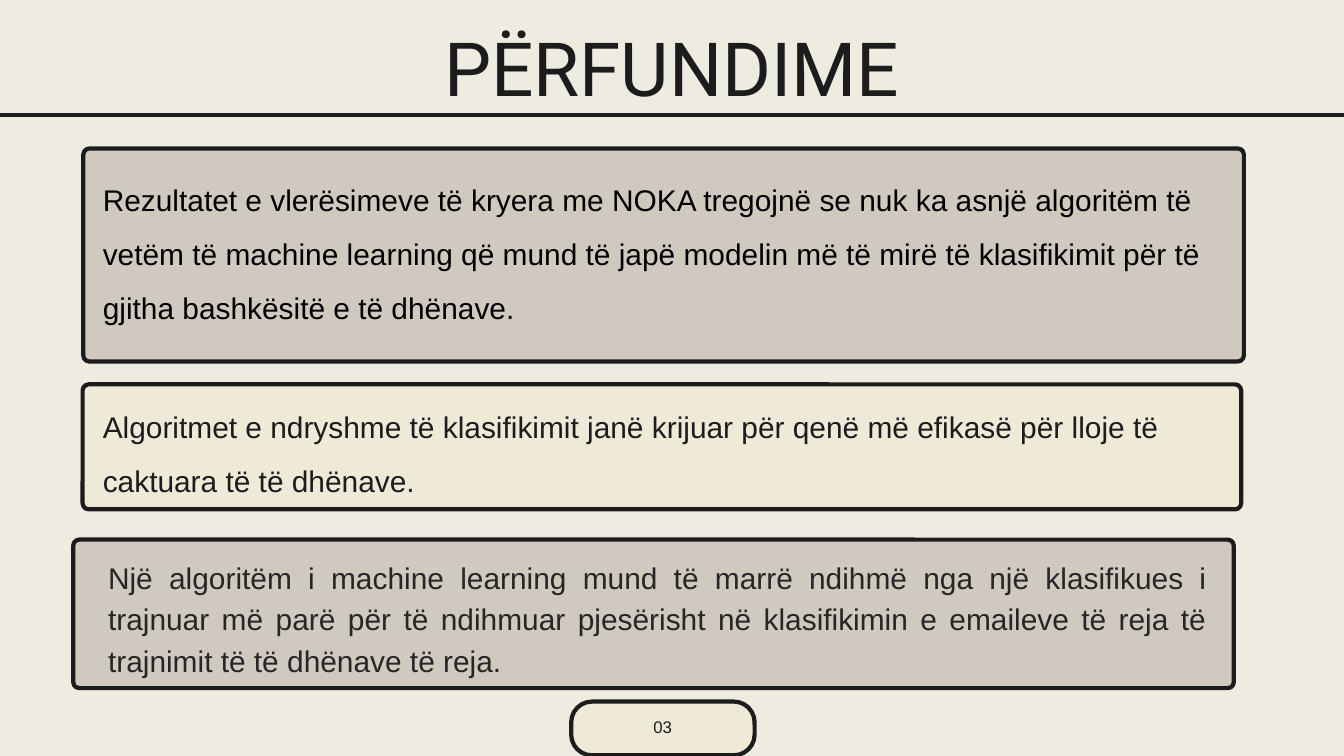
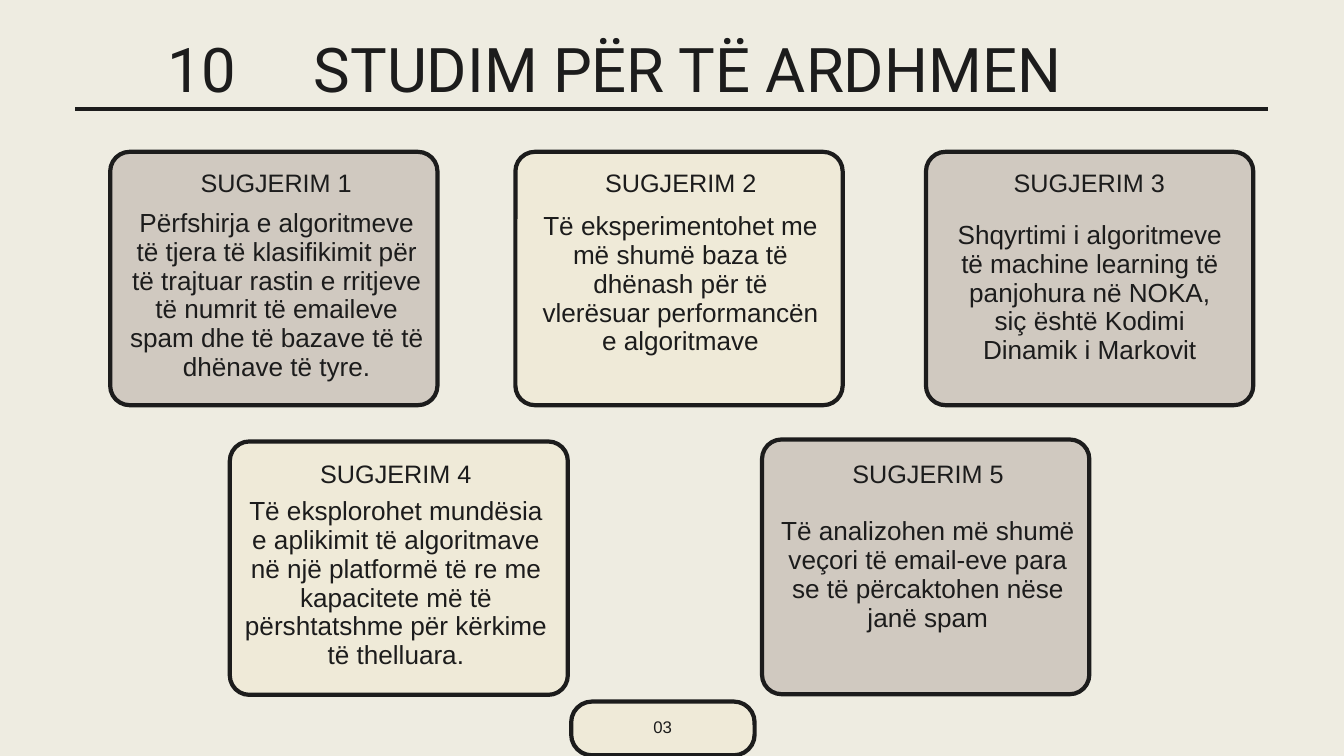
import dataclasses

import lxml.etree
import pptx
import pptx.dml.color
import pptx.enum.shapes
import pptx.enum.text
import pptx.oxml.ns
import pptx.util

Inches = pptx.util.Inches
Pt = pptx.util.Pt
Align = pptx.enum.text.PP_ALIGN


@dataclasses.dataclass(frozen=True)
class Theme:
    back: str = "EEECE1"
    ink: str = "1C1C1C"
    black: str = "000000"
    gray: str = "262626"
    taupe: str = "D0C9C0"
    cream: str = "EFEAD8"
    head: str = "Roboto"
    body: str = "Arial"
    title: float = 80
    long: float = 66
    text: float = 32
    note: float = 28
    label: float = 27
    page: float = 18
    line: float = 4.5


def color(code):
    return pptx.dml.color.RGBColor.from_string(code)


class Deck:
    def __init__(self, theme):
        self.theme = theme
        self.file = pptx.Presentation()
        self.file.slide_width = Inches(20)
        self.file.slide_height = Inches(11.25)
        self.slide = None

    def start(self):
        self.slide = self.file.slides.add_slide(self.file.slide_layouts[6])
        fill = self.slide.background.fill
        fill.solid()
        fill.fore_color.rgb = color(self.theme.back)

    def panel(self, box, fill, radius):
        shape = self.slide.shapes.add_shape(
            pptx.enum.shapes.MSO_SHAPE.ROUNDED_RECTANGLE, *map(Inches, box))
        shape.adjustments[0] = radius / min(box[2:])
        shape.shadow.inherit = False
        shape.fill.solid()
        shape.fill.fore_color.rgb = color(fill)
        shape.line.color.rgb = color(self.theme.ink)
        shape.line.width = Pt(self.theme.line)

    def text(self, box, words, size, space, align=Align.CENTER,
             font=None, ink=None, inset=(0, 0)):
        frame = self.slide.shapes.add_textbox(*map(Inches, box)).text_frame
        frame.word_wrap = True
        frame.auto_size = pptx.enum.text.MSO_AUTO_SIZE.SHAPE_TO_FIT_TEXT
        frame.margin_left = frame.margin_right = Inches(inset[0])
        frame.margin_top = frame.margin_bottom = Inches(inset[1])
        para = frame.paragraphs[0]
        para.alignment = align
        para.line_spacing = space
        run = para.add_run()
        run.text = words
        run.font.size = Pt(size)
        run.font.name = font or self.theme.body
        run.font.color.rgb = color(ink or self.theme.ink)
        return frame

    def title(self, box, words, size, align=Align.CENTER):
        return self.text(box, words, size, Pt(80), align, self.theme.head)

    def tab(self, frame, stop):
        props = frame.paragraphs[0]._p.get_or_add_pPr()
        tabs = lxml.etree.SubElement(props, pptx.oxml.ns.qn("a:tabLst"))
        lxml.etree.SubElement(tabs, pptx.oxml.ns.qn("a:tab"),
                              pos=str(Inches(stop)), algn="l")

    def rule(self, left, right, top):
        line = self.slide.shapes.add_connector(
            pptx.enum.shapes.MSO_CONNECTOR.STRAIGHT,
            *map(Inches, (left, top, right, top)))
        line.line.color.rgb = color(self.theme.ink)
        line.line.width = Pt(self.theme.line)
        props = line._element.spPr
        lxml.etree.SubElement(props, pptx.oxml.ns.qn("a:effectLst"))

    def badge(self, number):
        self.panel((8.5, 10.44, 2.73, 0.8), self.theme.cream, 0.31)
        self.text((9.3, 10.69, 1.12, 0.28), number, self.theme.page, Pt(20))

    def card(self, box, fill, label, place, words, area):
        self.panel(box, fill, 0.29)
        self.text(area, words, self.theme.note, Pt(30.8))
        self.text((*place, 2.9, 0.5), label, self.theme.label, Pt(37.8))


def results(deck):
    look = deck.theme
    deck.start()
    deck.title((1.67, 0.54, 16.66, 1.18), "PËRFUNDIME", look.title)
    deck.rule(0, 20, 1.71)

    # Findings: panel, fill, text box, wording, spacing, style
    rows = [
        ((1.24, 2.21, 17.27, 3.17), look.taupe, (1.53, 2.44, 16.54, 2.33),
         "Rezultatet e vlerësimeve të kryera me NOKA tregojnë se nuk ka asnjë "
         "algoritëm të vetëm të machine learning që mund të japë modelin më të "
         "mirë të klasifikimit për të gjitha bashkësitë e të dhënave.",
         1.5, Align.LEFT, look.black, (0, 0)),
        ((1.23, 5.72, 17.24, 1.86), look.cream, (1.53, 5.82, 16.64, 1.52),
         "Algoritmet e ndryshme të klasifikimit janë krijuar për qenë më "
         "efikasë për lloje të caktuara të të dhënave.",
         1.5, Align.LEFT, look.ink, (0, 0)),
        ((1.09, 8.03, 17.27, 2.21), look.taupe, (1.51, 8.2, 16.56, 1.91),
         "Një algoritëm i machine learning mund të marrë ndihmë nga një "
         "klasifikues i trajnuar më parë për të ndihmuar pjesërisht në "
         "klasifikimin e emaileve të reja të trajnimit të të dhënave të reja.",
         1.15, Align.JUSTIFY, look.gray, (0.1, 0.05)),
    ]
    for box, fill, area, words, space, align, ink, inset in rows:
        deck.panel(box, fill, 0.09)
        deck.text(area, words, look.text, space, align, ink=ink, inset=inset)
    deck.badge("03")


def future(deck):
    look = deck.theme
    deck.start()

    # Numbered title
    frame = deck.title((0, 0.45, 18.28, 1.12), "10\tSTUDIM PËR TË ARDHMEN",
                       look.long, Align.LEFT)
    frame.margin_left = Inches(2.49)
    deck.tab(frame, 2.18)
    deck.rule(1.12, 18.87, 1.62)

    # Suggestions: card, label corner, text box, wording
    cards = [
        ((1.64, 2.26, 4.87, 3.77), (2.66, 2.42), (1.91, 3.11, 4.41, 2.61),
         "Përfshirja e algoritmeve të tjera të klasifikimit për të trajtuar "
         "rastin e rritjeve të numrit të emaileve spam dhe të bazave të të "
         "dhënave të tyre."),
        ((7.67, 2.26, 4.87, 3.77), (8.68, 2.42), (8.06, 3.16, 4.13, 2.61),
         "Të eksperimentohet me më shumë baza të dhënash për të vlerësuar "
         "performancën e algoritmave"),
        ((13.78, 2.26, 4.87, 3.77), (14.76, 2.41), (14.15, 3.29, 4.13, 2.17),
         "Shqyrtimi i algoritmeve të machine learning të panjohura në NOKA, "
         "siç është Kodimi Dinamik i Markovit"),
        ((3.42, 6.57, 5.03, 3.77), (4.44, 6.74), (3.6, 7.4, 4.58, 2.61),
         "Të eksplorohet mundësia e aplikimit të algoritmave në një platformë "
         "të re me kapacitete më të përshtatshme për kërkime të thelluara."),
        ((11.34, 6.54, 4.87, 3.79), (12.36, 6.75), (11.6, 7.7, 4.41, 1.74),
         "Të analizohen më shumë veçori të email-eve para se të përcaktohen "
         "nëse janë spam"),
    ]
    for count, (box, place, area, words) in enumerate(cards, 1):
        fill = look.taupe if count % 2 else look.cream
        deck.card(box, fill, f"SUGJERIM {count}", place, words, area)
    deck.badge("03")


def main():
    deck = Deck(Theme())
    results(deck)
    future(deck)
    deck.file.save("out.pptx")


if __name__ == "__main__":
    main()
